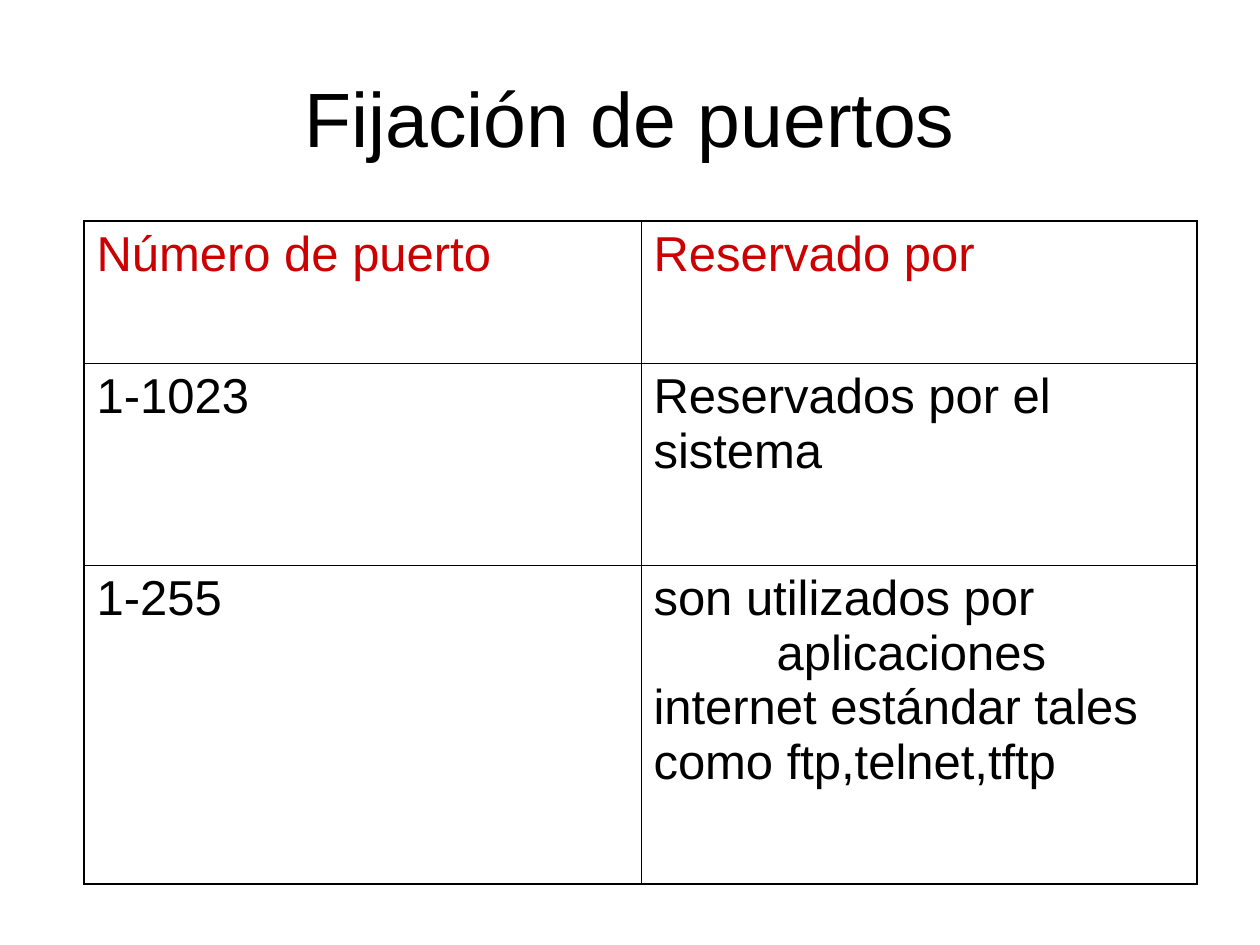
from lxml.etree import SubElement
from pptx import Presentation
from pptx.dml.color import RGBColor
from pptx.enum.text import MSO_ANCHOR, PP_ALIGN
from pptx.oxml import parse_xml
from pptx.oxml.ns import nsdecls, qn
from pptx.util import Pt

SCALE = 914400 / 126
COLORS = {"text": "000000", "header": "CC0000", "border": "000000"}
FONT = "Arial"
OUTER_BORDER, INNER_BORDER = 1.08, 0.45
COLUMN_WIDTHS = [557, 556]
ROW_HEIGHTS = [142, 202, 319]
ROWS = [
    ["Número de puerto", "Reservado por"],
    ["1-1023", "Reservados por el sistema"],
    ["1-255", "son utilizados por\n\taplicaciones internet estándar tales como ftp,telnet,tftp"],
]


def px(length):
    return round(length * SCALE)


def add_text(paragraph, text, size, color):
    for index, line in enumerate(text.split("\n")):
        if index:
            paragraph.add_line_break()
        run = paragraph.add_run()
        run.text = line
        run.font.name = FONT
        run.font.size = Pt(size)
        run.font.color.rgb = RGBColor.from_string(COLORS[color])


def add_tab_stop(paragraph, position):
    tab_list = SubElement(paragraph._p.get_or_add_pPr(), qn("a:tabLst"))
    SubElement(tab_list, qn("a:tab"), pos=str(px(position)), algn="l")


def set_borders(cell, outer_sides):
    properties = cell._tc.get_or_add_tcPr()
    for index, side in enumerate("LRTB"):
        width = Pt(OUTER_BORDER if side in outer_sides else INNER_BORDER)
        properties.insert(index, parse_xml(
            f'<a:ln{side} {nsdecls("a")} w="{width}"><a:solidFill>'
            f'<a:srgbClr val="{COLORS["border"]}"/></a:solidFill></a:ln{side}>'
        ))


def add_title(slide, left, top, width, height):
    shape = slide.shapes.add_textbox(px(left), px(top), px(width), px(height))
    frame = shape.text_frame
    frame.word_wrap = True
    frame.vertical_anchor = MSO_ANCHOR.MIDDLE
    paragraph = frame.paragraphs[0]
    paragraph.alignment = PP_ALIGN.CENTER
    add_text(paragraph, "Fijación de puertos", 44, "text")


def add_port_table(slide, left, top):
    last_row, last_column = len(ROWS) - 1, len(COLUMN_WIDTHS) - 1
    table = slide.shapes.add_table(
        len(ROWS), len(COLUMN_WIDTHS), px(left), px(top),
        px(sum(COLUMN_WIDTHS)), px(sum(ROW_HEIGHTS)),
    ).table
    table.first_row = table.horz_banding = False
    for column, width in zip(table.columns, COLUMN_WIDTHS):
        column.width = px(width)
    for row_index, texts in enumerate(ROWS):
        table.rows[row_index].height = px(ROW_HEIGHTS[row_index])
        for column_index, text in enumerate(texts):
            cell = table.cell(row_index, column_index)
            cell.fill.background()
            outer_sides = {
                "L": column_index == 0, "R": column_index == last_column,
                "T": row_index == 0, "B": row_index == last_row,
            }
            set_borders(cell, [side for side, outer in outer_sides.items() if outer])
            paragraph = cell.text_frame.paragraphs[0]
            paragraph.space_before = Pt(7)
            if "\t" in text:
                add_tab_stop(paragraph, 123)
            add_text(paragraph, text, 28, "text" if row_index else "header")


def main():
    presentation = Presentation()
    presentation.slide_width = px(1260)
    presentation.slide_height = px(945)
    slide = presentation.slides.add_slide(presentation.slide_layouts[6])
    add_title(slide, 63, 38, 1134, 158)
    add_port_table(slide, 84, 221)
    presentation.save("out.pptx")


if __name__ == "__main__":
    main()
